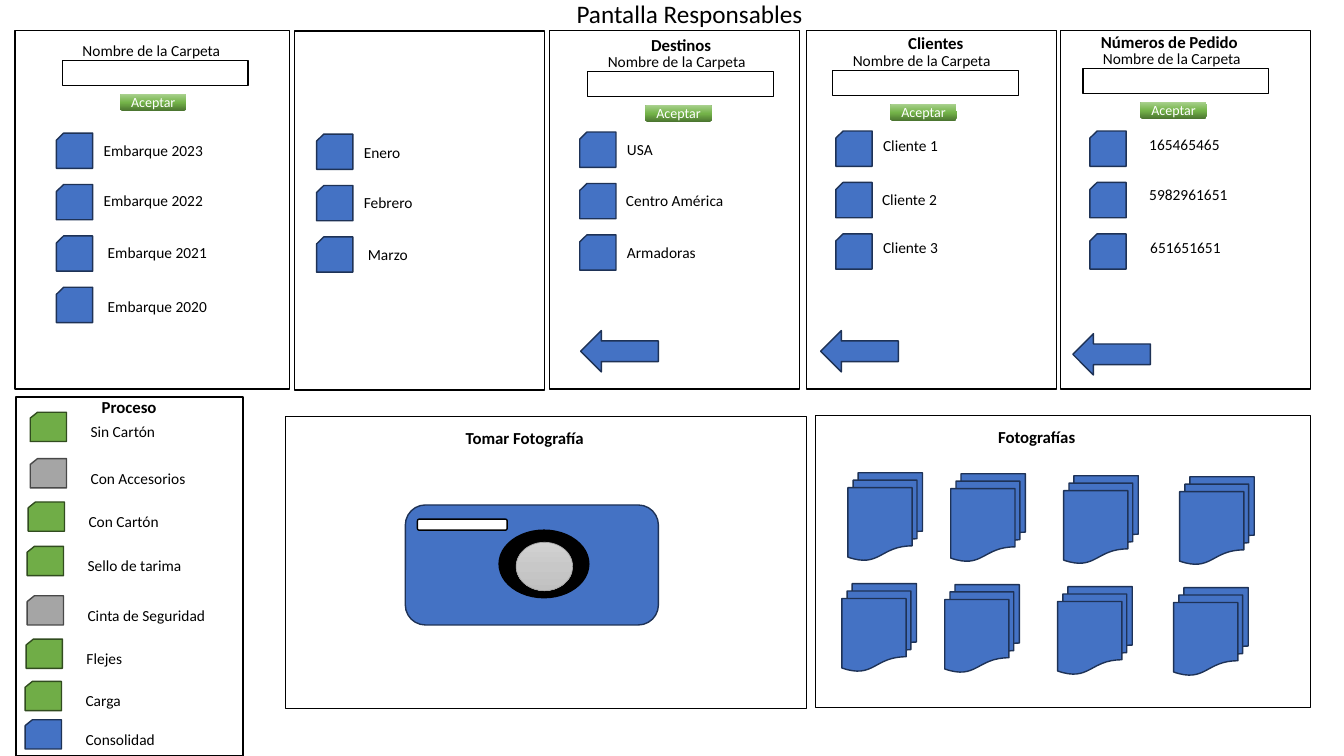
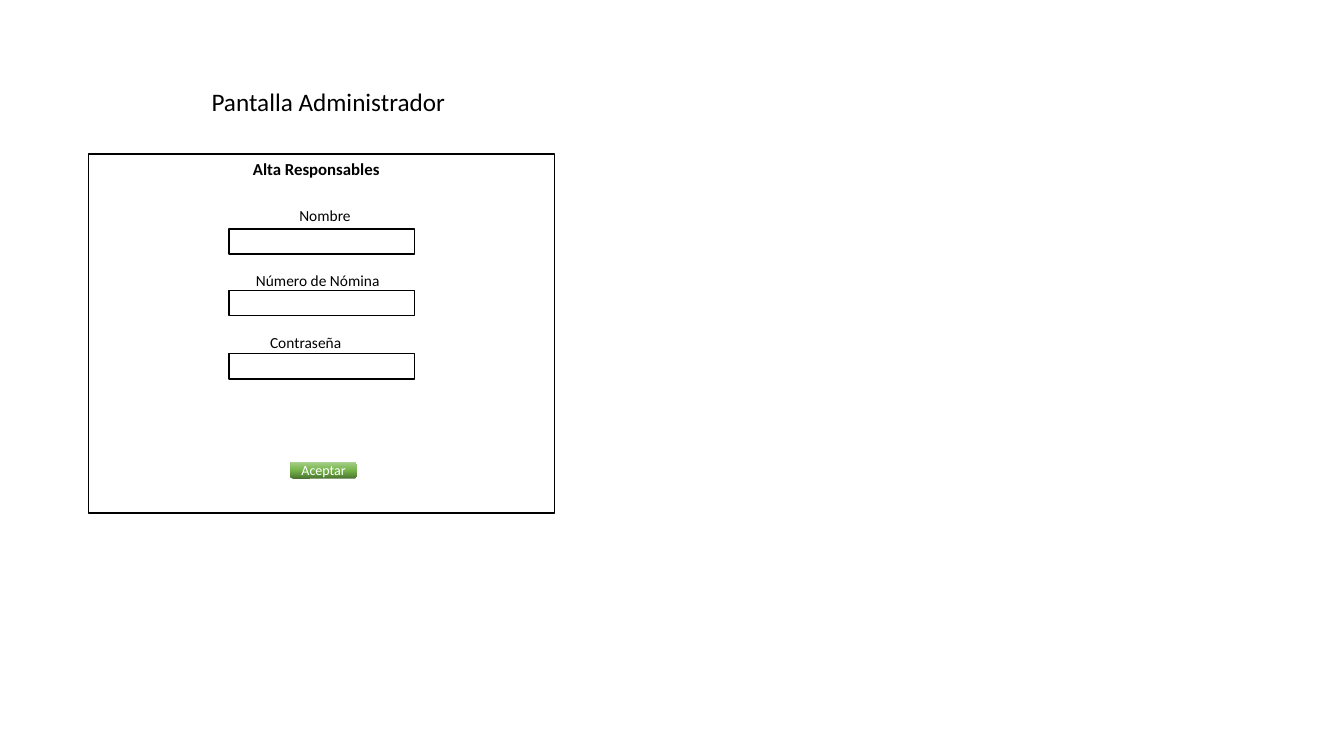
"""Build the wireframes of the responsible and administrator screens."""
from copy import deepcopy
from dataclasses import dataclass

from pptx import Presentation
from pptx.dml.color import RGBColor
from pptx.enum.shapes import MSO_SHAPE as Preset
from pptx.enum.text import MSO_ANCHOR as Anchor, MSO_AUTO_SIZE as AutoSize, PP_ALIGN as Align
from pptx.oxml.ns import qn
from pptx.util import Inches, Pt


@dataclass(frozen=True)
class Theme:
    """Colours, font and type sizes shared by both slides."""
    font: str = "Calibri"
    black: str = "000000"
    white: str = "FFFFFF"
    blue: tuple = ("4472C4", "1E3256")
    green: tuple = ("70AD47", "314C1F")
    gray: tuple = ("A5A5A5", "484848")
    paper: tuple = ("FFFFFF", "000000")
    ink: tuple = ("000000", "000000")
    button: tuple = ((0, "4B7430"), (0.48, "74B349"), (1, "A9D18E"))
    lens: tuple = ((0, "D2D2D2"), (0.5, "C8C8C8"), (1, "C0C0C0"))
    title_size: int = 18
    heading_size: int = 12
    label_size: int = 11
    button_size: int = 10


THEME = Theme()
LABEL_WIDTH = 2.37
CARD_PITCH = 0.51

FOLDER_PANELS = [
    dict(box=(0.15, 0.3, 2.72, 3.56), form=(0.62, 0.6), cards=(0.56, 1.32),
         labels=[("Embarque 2023", 0.93, 1.35), ("Embarque 2022", 0.93, 1.85),
                 ("Embarque 2021", 0.97, 2.36), ("Embarque 2020", 0.97, 2.9)]),
    dict(box=(2.92, 0.31, 2.48, 3.56), cards=(3.14, 1.33),
         labels=[("Enero", 3.51, 1.37), ("Febrero", 3.51, 1.87), ("Marzo", 3.55, 2.38)]),
    dict(box=(5.45, 0.3, 2.48, 3.56), heading=("Destinos", 6.36, 0.3, 0.93),
         form=(5.83, 0.71), cards=(5.75, 1.31), arrow=(5.76, 3.28),
         labels=[("USA", 6.12, 1.34), ("Centro América", 6.11, 1.85), ("Armadoras", 6.12, 2.36)]),
    dict(box=(8, 0.3, 2.48, 3.56), heading=("Clientes", 8.91, 0.28, 0.93),
         form=(8.26, 0.7), cards=(8.29, 1.3), arrow=(8.14, 3.28),
         labels=[("Cliente 1", 8.66, 1.3), ("Cliente 2", 8.65, 1.84), ("Cliente 3", 8.66, 2.31)]),
    dict(box=(10.52, 0.3, 2.48, 3.56), heading=("Números de Pedido", 10.82, 0.27, 1.83),
         form=(10.74, 0.68), cards=(10.81, 1.3), arrow=(10.64, 3.31),
         labels=[("165465465", 11.3, 1.29), ("5982961651", 11.3, 1.79), ("651651651", 11.31, 2.31)]),
]

PROCESS_STEPS = [
    ("Sin Cartón", THEME.green, 0.3, 4.09),
    ("Con Accesorios", THEME.gray, 0.3, 4.55),
    ("Con Cartón", THEME.green, 0.28, 4.98),
    ("Sello de tarima", THEME.green, 0.27, 5.42),
    ("Cinta de Seguridad", THEME.gray, 0.27, 5.91),
    ("Flejes", THEME.green, 0.26, 6.34),
    ("Carga", THEME.green, 0.25, 6.76),
    ("Consolidad", THEME.blue, 0.25, 7.14),
]

PHOTO_COLUMNS = [(8.41, 4.69), (9.43, 4.7), (10.55, 4.72), (11.7, 4.73)]
PHOTO_ROW_SHIFTS = [(0, 0), (-0.06, 1.1)]

ADMIN_FIELDS = [
    ("Nombre", 2.87, 2, 2.27),
    ("Número de Nómina", 2.44, 2.64, 2.88),
    ("Contraseña", 2.58, 3.26, 3.51),
]


def format_text(shape, text, size, color, bold=False):
    """Write one line of text and style its run."""
    paragraph = shape.text_frame.paragraphs[0]
    paragraph.text = text
    font = paragraph.runs[0].font
    font.name = THEME.font
    font.size = Pt(size)
    font.bold = bold
    font.color.rgb = RGBColor.from_string(color)
    return paragraph


def add_text(slide, text, left, top, width=LABEL_WIDTH, size=THEME.label_size, bold=False):
    """Add a one-line text box."""
    height = 0.11 + size / 60
    shape = slide.shapes.add_textbox(Inches(left), Inches(top), Inches(width), Inches(height))
    shape.text_frame.word_wrap = True
    shape.text_frame.auto_size = AutoSize.SHAPE_TO_FIT_TEXT
    format_text(shape, text, size, THEME.black, bold)


def add_title(slide, text, left, top, width):
    """Add the name of a screen."""
    add_text(slide, text, left, top, width, THEME.title_size)


def add_heading(slide, text, left, top, width):
    """Add the bold heading of a panel."""
    add_text(slide, text, left, top, width, THEME.heading_size, True)


def add_preset(slide, preset, box, style):
    """Add a preset shape with a (fill, line) style."""
    shape = slide.shapes.add_shape(preset, *map(Inches, box))
    fill, line = style
    shape.shadow.inherit = False
    shape.fill.solid()
    shape.fill.fore_color.rgb = RGBColor.from_string(fill)
    shape.line.color.rgb = RGBColor.from_string(line)
    shape.line.width = Pt(1)
    return shape


def apply_gradient(shape, stops, angle):
    """Fill a shape with a linear gradient of any number of stops."""
    shape.fill.gradient()
    shape.fill.gradient_angle = angle
    stop_list = shape._element.spPr.find(qn("a:gradFill")).find(qn("a:gsLst"))
    while len(stop_list) < len(stops):
        stop_list.append(deepcopy(stop_list[0]))
    for stop, (position, color) in zip(shape.fill.gradient_stops, stops):
        stop.position = position
        stop.color.rgb = RGBColor.from_string(color)


def add_panel(slide, box):
    """Add a white outlined rectangle."""
    add_preset(slide, Preset.RECTANGLE, box, THEME.paper)


def add_input(slide, left, top):
    """Add an empty entry field."""
    add_panel(slide, (left, top, 1.84, 0.25))


def add_button(slide, left, top):
    """Add the green accept button."""
    shape = add_preset(slide, Preset.ROUNDED_RECTANGLE, (left, top, 0.66, 0.17), THEME.green)
    apply_gradient(shape, THEME.button, 90)
    shape.line.fill.background()
    frame = shape.text_frame
    frame.margin_left = frame.margin_right = 0
    frame.vertical_anchor = Anchor.MIDDLE
    format_text(shape, "Aceptar", THEME.button_size, THEME.white).alignment = Align.CENTER


def add_folder_form(slide, left, top):
    """Add the folder name field with its label and button."""
    add_input(slide, left, top)
    add_text(slide, "Nombre de la Carpeta", left + 0.1, top - 0.24)
    add_button(slide, left + 0.57, top + 0.33)


def add_card(slide, left, top, height, style):
    """Add a folder card icon."""
    add_preset(slide, Preset.FLOWCHART_CARD, (left, top, 0.36, height), style)


def add_folder_panel(slide, box, cards, labels, heading=None, form=None, arrow=None):
    """Add a panel with a column of labelled folders."""
    add_panel(slide, box)
    left, top = cards
    for row, label in enumerate(labels):
        add_card(slide, left, top + row * CARD_PITCH, 0.35, THEME.blue)
        add_text(slide, *label)
    if heading:
        add_heading(slide, *heading)
    if form:
        add_folder_form(slide, *form)
    if arrow:
        add_preset(slide, Preset.LEFT_ARROW, (*arrow, 0.77, 0.41), THEME.blue)


def add_process_panel(slide):
    """Add the list of process steps."""
    add_panel(slide, (0.16, 3.94, 2.25, 3.56))
    add_heading(slide, "Proceso", 0.91, 3.89, 1.66)
    for text, style, left, top in PROCESS_STEPS:
        add_card(slide, left, top, 0.29, style)
        add_text(slide, text, left + 0.5, top + 0.05)


def add_camera_panel(slide):
    """Add the panel for taking a photograph."""
    add_panel(slide, (2.83, 4.13, 5.17, 2.9))
    add_heading(slide, "Tomar Fotografía", 4.52, 4.19, 1.45)
    add_preset(slide, Preset.ROUNDED_RECTANGLE, (4.02, 5.01, 2.51, 1.19), THEME.blue)
    add_preset(slide, Preset.OVAL, (4.95, 5.26, 0.89, 0.67), THEME.ink)
    lens = add_preset(slide, Preset.OVAL, (5.12, 5.38, 0.56, 0.48), (THEME.white, THEME.gray[0]))
    apply_gradient(lens, THEME.lens, 270)
    lens.line.width = Pt(0.5)
    add_preset(slide, Preset.ROUNDED_RECTANGLE, (4.14, 5.15, 0.89, 0.11), THEME.paper)


def add_photo_panel(slide):
    """Add the panel with the stacks of photographs."""
    add_panel(slide, (8.09, 4.12, 4.91, 2.9))
    add_heading(slide, "Fotografías", 9.8, 4.18, 1.38)
    for shift_x, shift_y in PHOTO_ROW_SHIFTS:
        for left, top in PHOTO_COLUMNS:
            box = (left + shift_x, top + shift_y, 0.74, 0.87)
            add_preset(slide, Preset.FLOWCHART_MULTIDOCUMENT, box, THEME.blue)


def build_responsible_screen(slide):
    """Draw the screen of the responsible users."""
    add_title(slide, "Pantalla Responsables", 5.62, -0.07, 2.86)
    for panel in FOLDER_PANELS:
        add_folder_panel(slide, **panel)
    add_camera_panel(slide)
    add_process_panel(slide)
    add_photo_panel(slide)


def build_admin_screen(slide):
    """Draw the screen of the administrator."""
    add_title(slide, "Pantalla Administrador", 2, 0.81, 2.76)
    add_panel(slide, (0.88, 1.53, 4.62, 3.56))
    add_heading(slide, "Alta Responsables", 2.41, 1.53, 1.56)
    for text, left, top, input_top in ADMIN_FIELDS:
        add_input(slide, 2.27, input_top)
        add_text(slide, text, left, top)
    add_button(slide, 2.88, 4.58)


def main():
    """Build and save the presentation."""
    presentation = Presentation()
    presentation.slide_width = Inches(13.33)
    presentation.slide_height = Inches(7.5)
    blank = presentation.slide_layouts[6]
    for build in (build_responsible_screen, build_admin_screen):
        build(presentation.slides.add_slide(blank))
    presentation.save("out.pptx")


if __name__ == "__main__":
    main()
